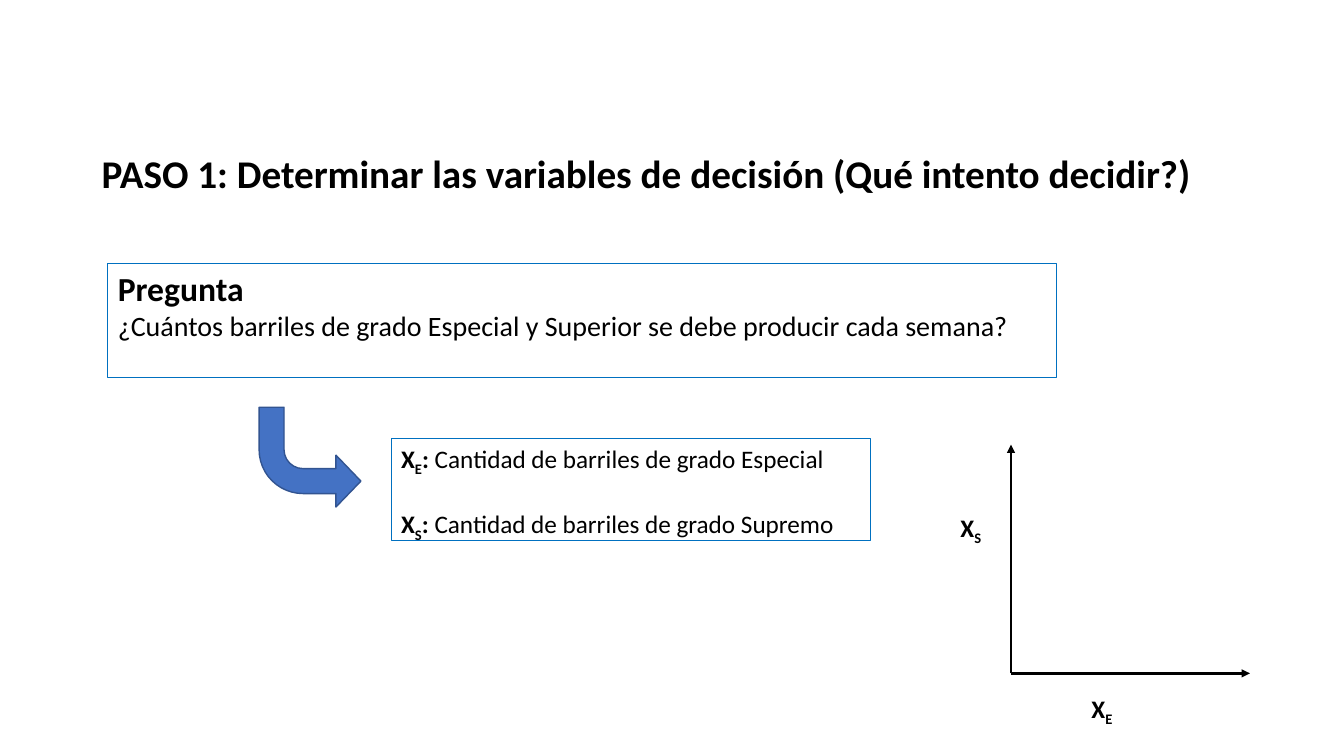
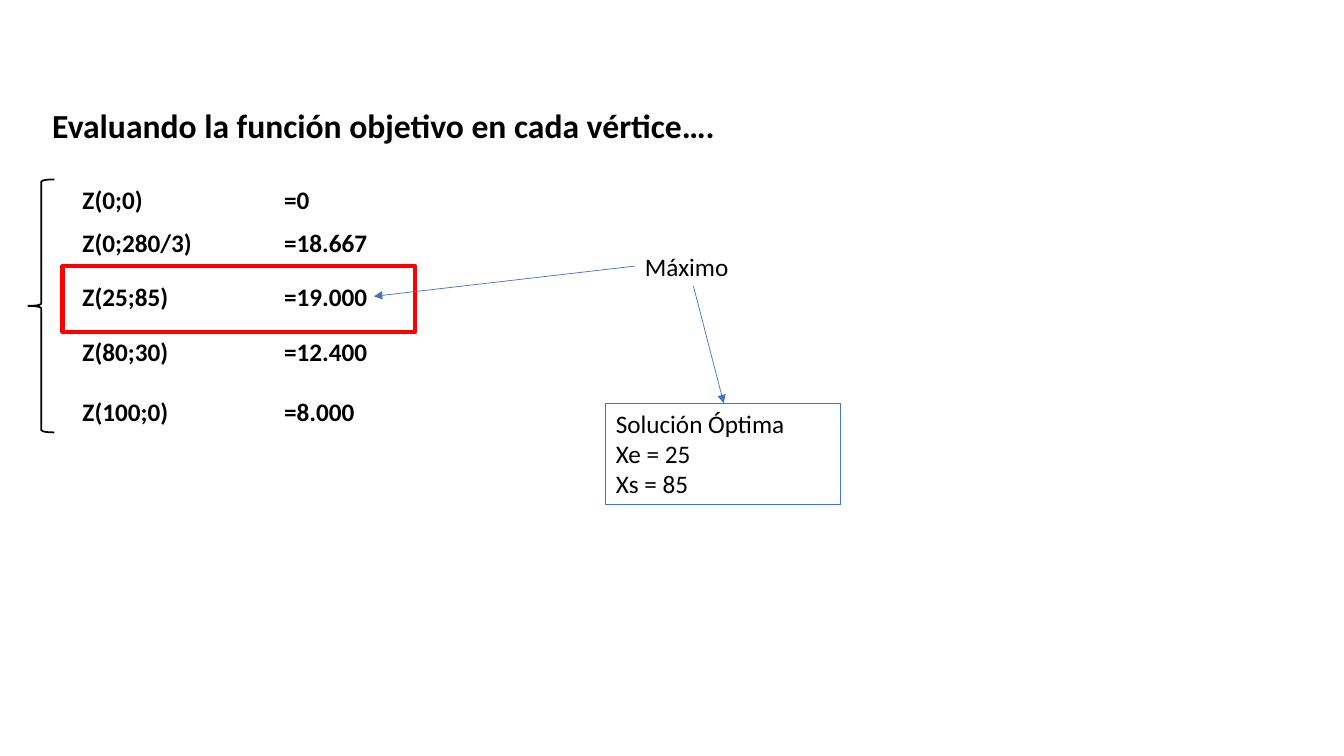
from lxml import etree
from pptx import Presentation
from pptx.dml.color import RGBColor
from pptx.enum.shapes import MSO_CONNECTOR, MSO_SHAPE
from pptx.enum.text import MSO_ANCHOR, PP_ALIGN
from pptx.oxml.ns import qn
from pptx.util import Inches, Pt

RECTANGLE = MSO_SHAPE.RECTANGLE
BRACE = MSO_SHAPE.LEFT_BRACE
BENT_ARROW = MSO_SHAPE.BENT_ARROW
STRAIGHT = MSO_CONNECTOR.STRAIGHT
TOP, LEFT = MSO_ANCHOR.TOP, PP_ALIGN.LEFT

COLORS = {
    "ink": "000000",
    "frame": "0070C0",
    "accent": "4472C4",
    "accent_dark": "325491",
    "highlight": "FF0000",
}
FONT = "Calibri"
BODY_SIZE = 18
COLUMNS, ROWS = 80, 45


def color(name):
    return RGBColor.from_string(COLORS[name])


def symbol(index):
    """Runs of a decision variable with its subscript."""
    return [("X", "b"), (index, "b_")]


class Board:
    """Holds the style, the deck and the current page."""

    def __init__(self):
        self.deck = Presentation()
        self.deck.slide_width = Inches(13.33)
        self.deck.slide_height = Inches(7.5)
        self.page = None

    def new_page(self):
        self.page = self.deck.slides.add_slide(self.deck.slide_layouts[6])

    def x(self, columns):
        return round(self.deck.slide_width * columns / COLUMNS)

    def y(self, rows):
        return round(self.deck.slide_height * rows / ROWS)

    def area(self, left, top, width, height):
        return self.x(left), self.y(top), self.x(width), self.y(height)

    def fill_text(self, box, paras, size=BODY_SIZE, gap=0, tab=None):
        """Each para is a list of (text, style); b is bold, _ is subscript."""
        frame = box.text_frame
        frame.word_wrap = True
        frame.vertical_anchor = TOP
        for number, spans in enumerate(paras):
            para = frame.add_paragraph() if number else frame.paragraphs[0]
            para.alignment = LEFT
            para.space_before = Pt(gap if number else 0)
            if tab:
                stops = etree.SubElement(para._p.get_or_add_pPr(), qn("a:tabLst"))
                etree.SubElement(stops, qn("a:tab"), pos=str(self.x(tab)), algn="l")
            for text, style, *own_size in spans:
                span = para.add_run()
                span.text = text
                span.font.name = FONT
                span.font.size = Pt(own_size[0] if own_size else size)
                span.font.bold = "b" in style
                span.font.color.rgb = color("ink")
                if "_" in style:
                    span.font._element.set("baseline", "-25000")

    def text(self, area, spans, size=BODY_SIZE, tab=None):
        box = self.page.shapes.add_textbox(*self.area(*area))
        self.fill_text(box, [spans], size, tab=tab)

    def title(self, area, text, size):
        self.text(area, [(text, "b")], size)

    def shape(self, kind, area, line, width, fill=None):
        box = self.page.shapes.add_shape(kind, *self.area(*area))
        box.shadow.inherit = False
        box.line.color.rgb = color(line)
        box.line.width = Pt(width)
        if fill:
            box.fill.solid()
            box.fill.fore_color.rgb = color(fill)
        else:
            box.fill.background()
        return box

    def panel(self, area, line, paras, gap=0):
        self.fill_text(self.shape(RECTANGLE, area, line, 0.75), paras, gap=gap)

    def bent_arrow(self, area):
        arrow = self.shape(BENT_ARROW, area, "accent_dark", 1, "accent")
        for number, share in enumerate((0.25, 0.26, 0.25, 0.44)):
            arrow.adjustments[number] = share
        arrow.rotation = 180
        arrow._element.spPr.get_or_add_xfrm().set("flipH", "1")

    def arrow(self, start, end, line, width):
        arrow = self.page.shapes.add_connector(
            STRAIGHT, self.x(start[0]), self.y(start[1]), self.x(end[0]), self.y(end[1]))
        arrow.line.color.rgb = color(line)
        arrow.line.width = Pt(width)
        etree.SubElement(arrow.line._get_or_add_ln(), qn("a:tailEnd"), type="triangle")
        etree.SubElement(arrow._element.spPr, qn("a:effectLst"))


def variables_page(board):
    board.new_page()
    board.title((5.46, 8.58, 70.2, 3.42),
                "PASO 1: Determinar las variables de decisión (Qué intento decidir?)", 28)

    # Question and the variables that answer it
    question = "¿Cuántos barriles de grado Especial y Superior se debe producir cada semana?"
    board.panel((6.42, 15.66, 56.46, 6.84), "frame",
                [[("Pregunta", "b", 24)], [(question, "", 20)]])
    board.bent_arrow((15.42, 24.24, 6.06, 5.94))
    variables = [
        symbol(index) + [(": ", "b"), (f"Cantidad de barriles de grado {grade}", "")]
        for index, grade in (("E", "Especial"), ("S", "Supremo"))
    ]
    board.panel((23.28, 26.1, 28.56, 6.06), "frame", variables, gap=22)

    # Axes
    origin = (60.18, 40.08)
    for end in ((origin[0], 26.46), (74.4, origin[1])):
        board.arrow(origin, end, "ink", 1.75)
    board.text((64.38, 40.98, 3.54, 2.4), symbol("E"))
    board.text((56.58, 30.18, 3.54, 2.4), symbol("S"))


def vertices_page(board):
    board.new_page()
    board.title((2.52, 5.94, 54.18, 3), "Evaluando la función objetivo en cada vértice….", 24)

    # Value of the objective at each vertex
    vertices = (
        (10.68, "0;0", "0"),
        (13.26, "0;280/3", "18.667"),
        (16.44, "25;85", "19.000"),
        (19.74, "80;30", "12.400"),
        (23.28, "100;0", "8.000"),
    )
    for top, point, value in vertices:
        board.text((4.32, top, 22, 2.4), [(f"Z({point})\t={value}", "b")], tab=12)
    board.shape(BRACE, (1.68, 10.68, 1.56, 15.06), "ink", 1.25)
    board.shape(RECTANGLE, (3.72, 15.84, 21, 3.9), "highlight", 3)

    # Maximum and optimal solution
    board.text((37.8, 14.64, 6.96, 2.4), [("Máximo", "")])
    board.arrow((37.8, 15.84), (22.26, 17.64), "accent", 0.5)
    board.panel((36.06, 24, 13.98, 6.06), "accent",
                [[(text, "")] for text in ("Solución Óptima", "Xe = 25", "Xs = 85")])
    board.arrow((41.28, 17.04), (43.08, 24), "accent", 0.5)


def main():
    board = Board()
    variables_page(board)
    vertices_page(board)
    board.deck.save("out.pptx")


if __name__ == "__main__":
    main()
